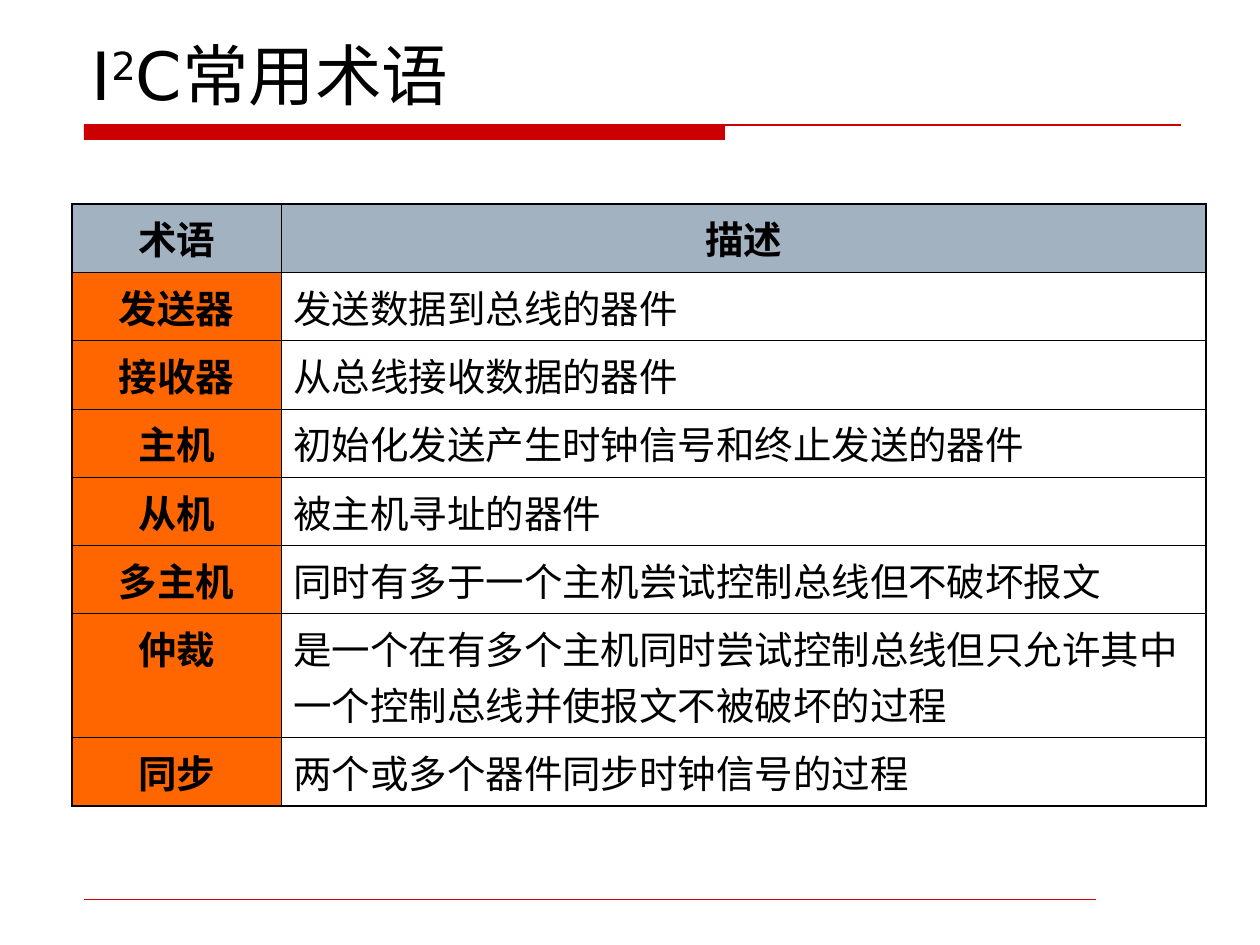
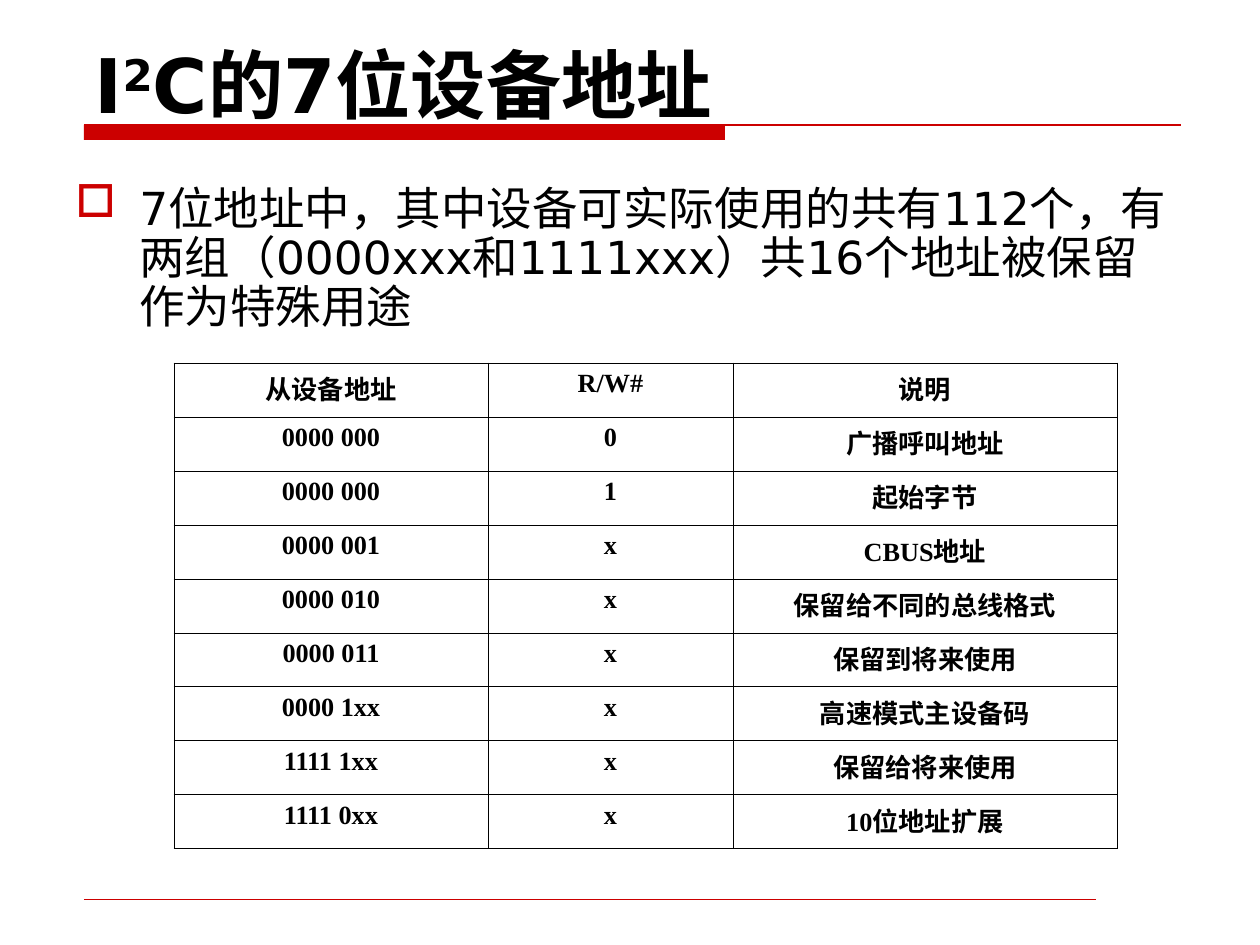
import lxml.etree
import pptx
import pptx.dml.color
import pptx.enum.shapes
import pptx.enum.text
import pptx.oxml.ns
import pptx.util

EMU_PER_PX = 914400 / 126
RED, BLACK, GREY, ORANGE = "CC0000", "000000", "A3B2C1", "FF6600"
SANS, SERIF = "DejaVu Sans", "Times New Roman"
CENTER = pptx.enum.text.PP_ALIGN.CENTER
LEFT = pptx.enum.text.PP_ALIGN.LEFT
THIN, THICK = 0.45, 1.08

TERMS = [
    ("术语", "描述"),
    ("发送器", "发送数据到总线的器件"),
    ("接收器", "从总线接收数据的器件"),
    ("主机", "初始化发送产生时钟信号和终止发送的器件"),
    ("从机", "被主机寻址的器件"),
    ("多主机", "同时有多于一个主机尝试控制总线但不破坏报文"),
    ("仲裁", "是一个在有多个主机同时尝试控制总线但只允许其中一个控制总线并使报文不被破坏的过程"),
    ("同步", "两个或多个器件同步时钟信号的过程"),
]
ADDRESSES = [
    ("从设备地址", "R/W#", "说明"),
    ("0000 000", "0", "广播呼叫地址"),
    ("0000 000", "1", "起始字节"),
    ("0000 001", "x", "CBUS地址"),
    ("0000 010", "x", "保留给不同的总线格式"),
    ("0000 011", "x", "保留到将来使用"),
    ("0000 1xx", "x", "高速模式主设备码"),
    ("1111 1xx", "x", "保留给将来使用"),
    ("1111 0xx", "x", "10位地址扩展"),
]


def px(*lengths):
    emus = [pptx.util.Emu(round(length * EMU_PER_PX)) for length in lengths]
    return emus if len(emus) > 1 else emus[0]


def rgb(color):
    return pptx.dml.color.RGBColor.from_string(color)


def add_xml(parent, tag, **attributes):
    return lxml.etree.SubElement(parent, pptx.oxml.ns.qn(tag), attributes)


def set_font(paragraph, size, face=SANS, bold=False):
    font = paragraph.font
    font.size, font.name, font.bold = pptx.util.Pt(size), face, bold
    font.color.rgb = rgb(BLACK)


def add_rule(slide, left, top, width, weight):
    rule = slide.shapes.add_connector(
        pptx.enum.shapes.MSO_CONNECTOR.STRAIGHT, *px(left, top, left + width, top))
    rule.line.color.rgb = rgb(RED)
    rule.line.width = pptx.util.Pt(weight)
    add_xml(rule._element.spPr, "a:effectLst")


def add_frame(slide):
    """Red title band, title rule and footer rule."""
    left, top = 84, 125
    band = slide.shapes.add_shape(
        pptx.enum.shapes.MSO_SHAPE.RECTANGLE, *px(left, top, 641, 15))
    band.shadow.inherit = False
    band.fill.solid()
    band.fill.fore_color.rgb = rgb(RED)
    band.line.fill.background()
    add_rule(slide, left, top, 1097, 0.75)
    add_rule(slide, left, 899, 1012, 0.25)


def set_title(slide, box, rest, size, bold=False):
    """Title that starts with I, a raised 2 and the rest."""
    title = slide.shapes.title
    title.left, title.top, title.width, title.height = px(*box)
    frame = title.text_frame
    frame.word_wrap = True
    frame.auto_size = pptx.enum.text.MSO_AUTO_SIZE.NONE
    frame.vertical_anchor = pptx.enum.text.MSO_ANCHOR.BOTTOM
    heading = frame.paragraphs[0]
    heading.alignment = LEFT
    for text in ("I", "2", rest):
        run = heading.add_run()
        run.text = text
        if text == "2":
            run._r.get_or_add_rPr().set("baseline", "30000")
    set_font(heading, size, bold=bold)


def set_borders(cell, weights):
    """Border weights in the order left, right, top, bottom."""
    properties = cell._tc.get_or_add_tcPr()
    for side, weight in zip("LRTB", weights):
        border = add_xml(properties, f"a:ln{side}", w=str(pptx.util.Pt(weight)))
        fill = add_xml(border, "a:solidFill")
        add_xml(fill, "a:srgbClr", val=BLACK)


def add_grid(slide, corner, widths, heights, rows, outer, style):
    """Table whose style(row, column) gives fill, alignment, size, face, bold."""
    grid = slide.shapes.add_table(
        len(rows), len(widths), *px(*corner, sum(widths), sum(heights))).table
    grid.first_row = grid.horz_banding = False
    for column, width in zip(grid.columns, widths):
        column.width = px(width)
    for row, height in zip(grid.rows, heights):
        row.height = px(height)
    last_row, last_column = len(rows) - 1, len(widths) - 1
    for r, texts in enumerate(rows):
        for c, text in enumerate(texts):
            cell = grid.cell(r, c)
            fill, alignment, size, face, bold = style(r, c)
            edges = (c == 0, c == last_column, r == 0, r == last_row)
            set_borders(cell, [outer if edge else THIN for edge in edges])
            if fill:
                cell.fill.solid()
                cell.fill.fore_color.rgb = rgb(fill)
            else:
                cell.fill.background()
            cell.text = text
            entry = cell.text_frame.paragraphs[0]
            entry.alignment = alignment
            set_font(entry, size, face, bold)


def add_bullet(slide, box, text):
    body = slide.shapes.add_textbox(*px(*box)).text_frame
    body.word_wrap = True
    point = body.paragraphs[0]
    point.text = text
    point.line_spacing = pptx.util.Pt(28)
    properties = point._p.get_or_add_pPr()
    indent = px(64)
    properties.set("marL", str(indent))
    properties.set("indent", str(-indent))
    add_xml(add_xml(properties, "a:buClr"), "a:srgbClr", val=RED)
    add_xml(properties, "a:buChar", char="□")
    set_font(point, 26)


def term_style(row, column):
    if row == 0:
        return GREY, CENTER, 22, SANS, True
    if column == 0:
        return ORANGE, CENTER, 22, SANS, True
    return None, LEFT, 22, SANS, False


def address_style(row, column):
    return None, CENTER, 15, SERIF, True


def new_slide(deck):
    slide = deck.slides.add_slide(deck.slide_layouts.get_by_name("Title Only"))
    add_frame(slide)
    return slide


def build_terms(deck):
    slide = new_slide(deck)
    set_title(slide, (79, 16, 1103, 104), "C常用术语", 38)
    heights = [68] * 6 + [124, 68]
    add_grid(slide, (72, 204), (209, 925), heights, TERMS, THICK, term_style)


def build_addresses(deck):
    slide = new_slide(deck)
    set_title(slide, (82, 45, 1134, 90), "C的7位设备地址", 43, bold=True)
    add_bullet(slide, (63, 179, 1123, 185),
               "7位地址中，其中设备可实际使用的共有112个，有两组（0000xxx和1111xxx）"
               "共16个地址被保留作为特殊用途")
    add_grid(slide, (174, 363), (314, 245, 384), [54] * 9, ADDRESSES, THIN,
             address_style)


def main():
    deck = pptx.Presentation()
    deck.slide_width, deck.slide_height = px(1260, 945)
    build_terms(deck)
    build_addresses(deck)
    deck.save("out.pptx")


if __name__ == "__main__":
    main()
